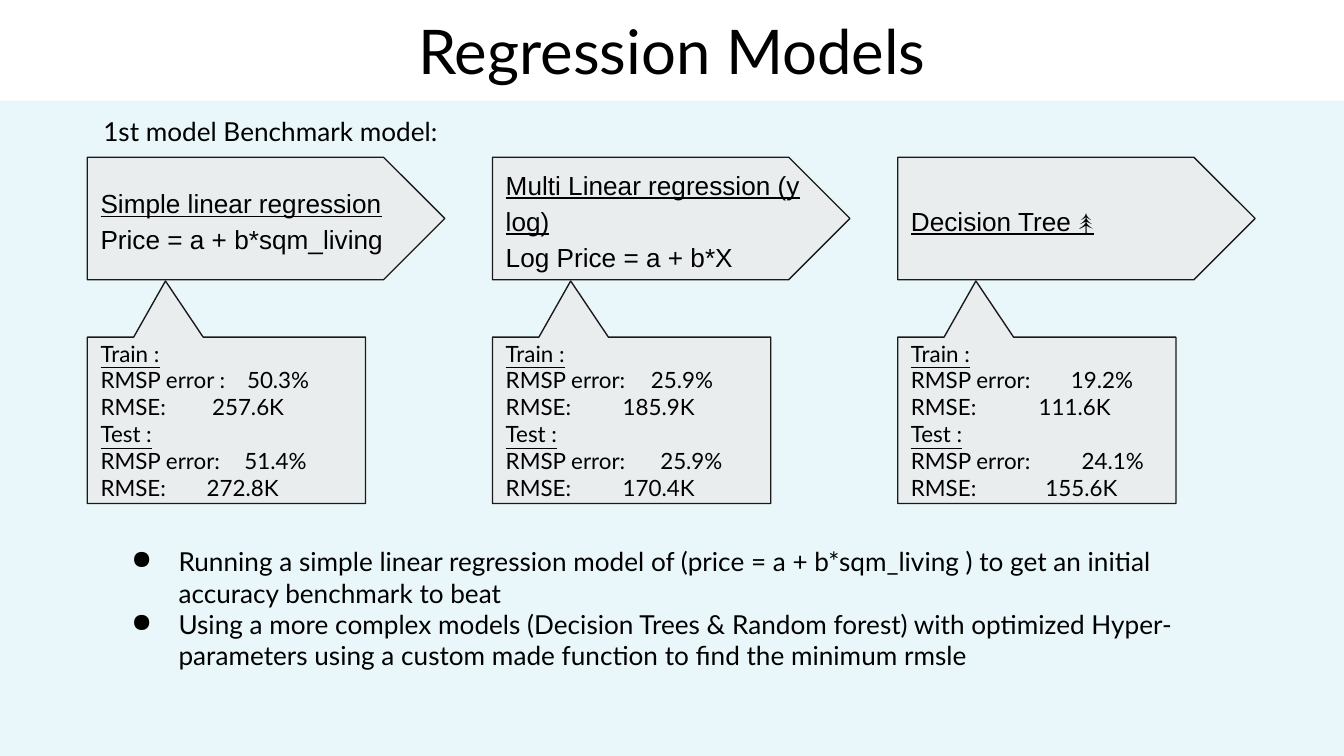
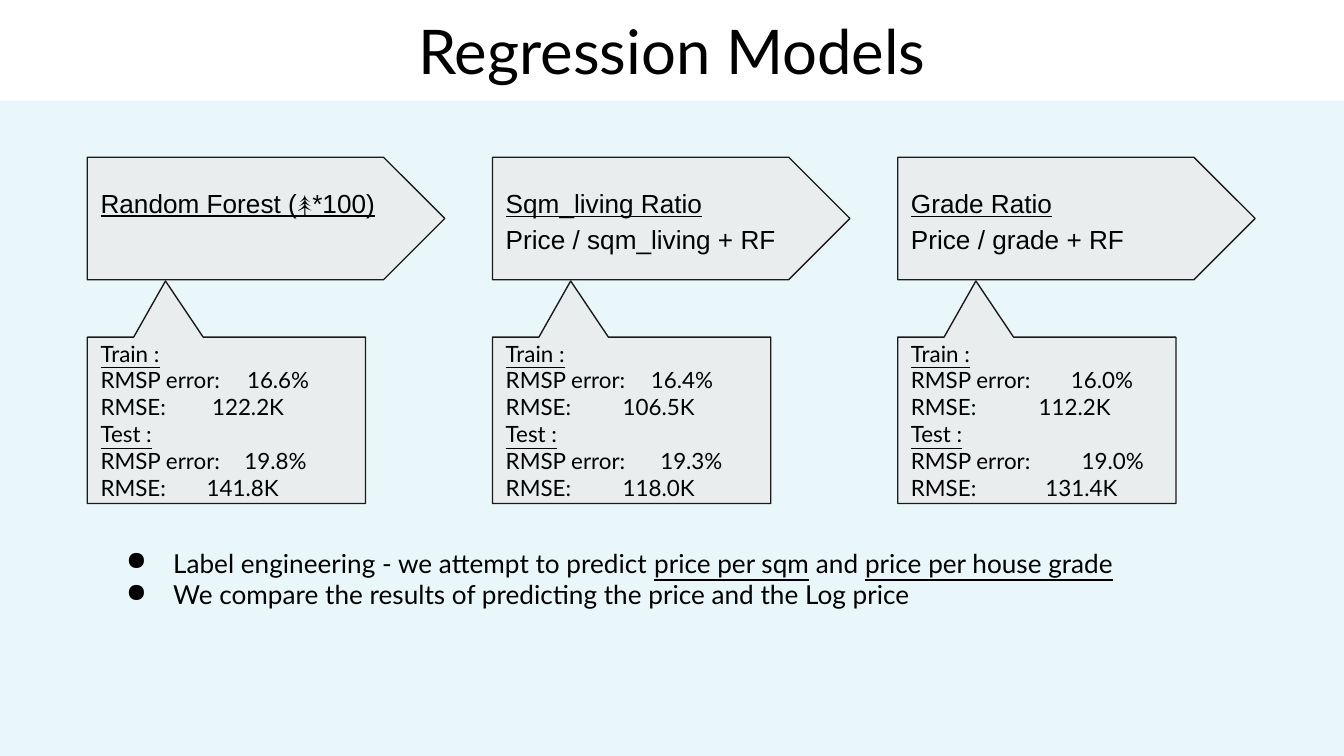
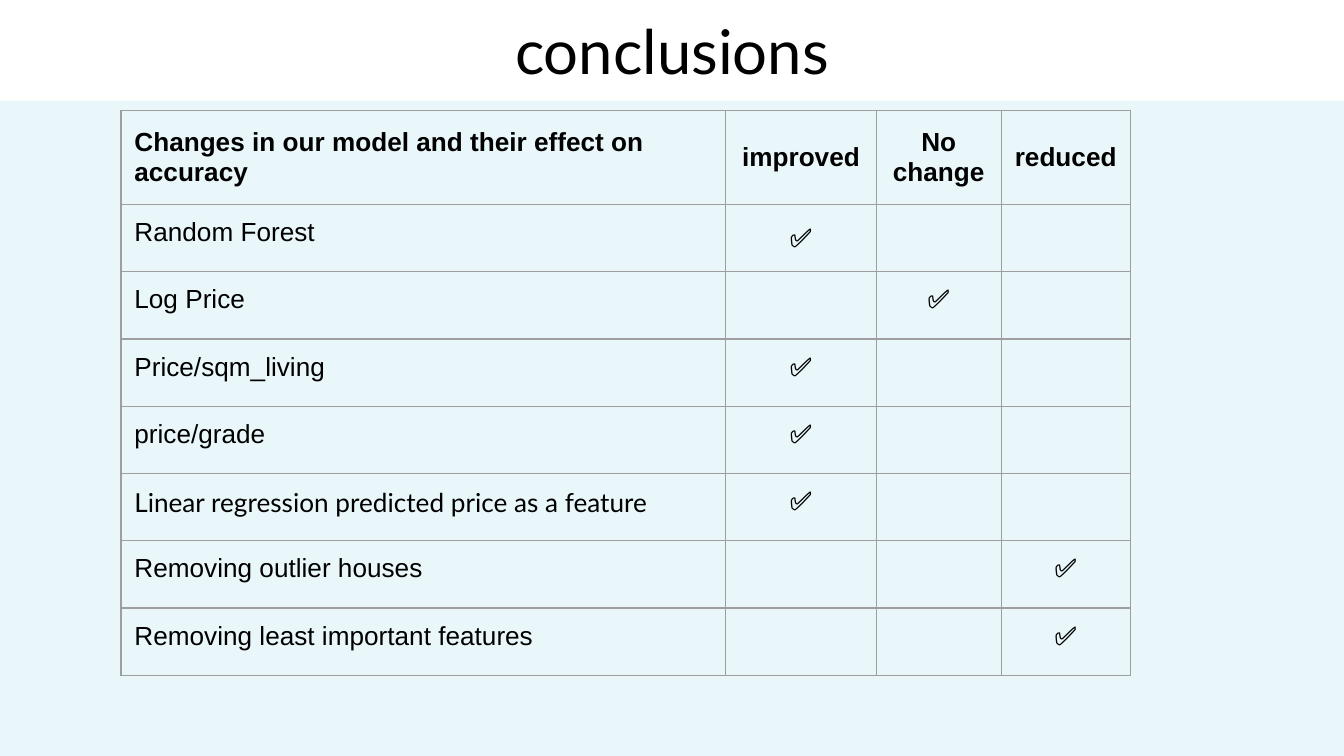
import dataclasses
import typing

import lxml.etree
import pptx
import pptx.dml.color
import pptx.enum.shapes
import pptx.enum.text
import pptx.oxml.ns
import pptx.util

SHAPE = pptx.enum.shapes.MSO_SHAPE
ALIGN = pptx.enum.text.PP_ALIGN
ANCHOR = pptx.enum.text.MSO_ANCHOR
GROW = pptx.enum.text.MSO_AUTO_SIZE.SHAPE_TO_FIT_TEXT

WIDTH, HEIGHT = pptx.util.Inches(10), pptx.util.Inches(5.625)
INK, WHITE, PANEL, OUTLINE, GRID = "000000", "FFFFFF", "E9EDEE", "1A1A1A", "9E9E9E"
BACKDROP, BACKDROP_ALPHA = "9BDFEB", 22
INSET = 0.1
FIRST_LEFT, STEP = 6.5, 30.15
TITLE = {"name": "Lato", "size": 33}
BODY = {"name": "Lato", "size": 14}
HEADING = {"name": "Arial", "size": 14}
SCORE = {"name": "Lato", "size": 12}
# Tab stops in inches for each column of cards: two training rows, two test rows
SCORE_TABS = (
    (1.09, 0.83, 1.07, 0.79),
    (1.08, 0.87, 1.15, 0.87),
    (1.19, 0.95, 1.27, 1.0),
)


class Box(typing.NamedTuple):
    """A place in percent of the slide's width and height."""
    left: float
    top: float
    width: float
    height: float


class Span(typing.NamedTuple):
    text: str
    underline: bool = False


@dataclasses.dataclass
class Model:
    name: str
    formula: str
    scores: tuple[str, str, str, str]
    bottom_inset: float = INSET
    train_label: str = "RMSP error:"


BENCHMARKS = (
    Model("Simple linear regression", "Price = a + b*sqm_living",
          ("50.3%", "257.6K", "51.4%", "272.8K"), train_label="RMSP error :"),
    Model("Multi Linear regression (y log)", "Log Price = a + b*X",
          ("25.9%", "185.9K", "25.9%", "170.4K")),
    Model("Decision Tree 🌲", "", ("19.2%", "111.6K", "24.1%", "155.6K")),
)
REFINED = (
    Model("Random Forest (🌲*100)", "",
          ("16.6%", "122.2K", "19.8%", "141.8K"), bottom_inset=0.37),
    Model("Sqm_living Ratio", "Price / sqm_living + RF",
          ("16.4%", "106.5K", "19.3%", "118.0K")),
    Model("Grade Ratio", "Price / grade + RF",
          ("16.0%", "112.2K", "19.0%", "131.4K")),
)
BENCHMARK_NOTES = (
    (Span("Running a simple linear regression model of (price = a + b*sqm_living ) "
          "to get an initial accuracy benchmark to beat"),),
    (Span("Using a more complex models (Decision Trees & Random forest) with optimized "
          "Hyper-parameters using a custom made function to find the minimum rmsle"),),
)
REFINED_NOTES = (
    (Span("Label engineering - we attempt to predict "), Span("price per sqm", True),
     Span(" and "), Span("price per house grade", True)),
    (Span("We compare the results of predicting the price and the Log price"),),
)
HEADERS = ("Changes in our model and their effect on accuracy",
           "improved", "No change", "reduced")
EFFECTS = (
    ("Random Forest", "improved"),
    ("Log Price", "No change"),
    ("Price/sqm_living", "improved"),
    ("price/grade", "improved"),
    ("Linear regression predicted price as a feature", "improved"),
    ("Removing outlier houses", "reduced"),
    ("Removing least important features", "reduced"),
)
COLUMN_SHARES = (45, 11.2, 9.3, 9.6)
HEADER_SHARE, ROW_SHARE = 12.44, 7.47


def rgb(value: str):
    return pptx.dml.color.RGBColor.from_string(value)


def across(share: float) -> int:
    return round(WIDTH * share / 100)


def down(share: float) -> int:
    return round(HEIGHT * share / 100)


def place(box: Box) -> tuple[int, int, int, int]:
    return across(box.left), down(box.top), across(box.width), down(box.height)


def add_node(parent, tag: str, **attributes):
    node = lxml.etree.SubElement(parent, pptx.oxml.ns.qn(tag))
    for name, value in attributes.items():
        node.set(name, str(value))
    return node


def set_frame(tf, bottom: float = INSET, **settings) -> None:
    sides = dict.fromkeys(("margin_left", "margin_top", "margin_right"), INSET)
    for name, inches in {**sides, "margin_bottom": bottom}.items():
        setattr(tf, name, pptx.util.Inches(inches))
    for name, value in {"word_wrap": True, **settings}.items():
        setattr(tf, name, value)


def write(p, spans: typing.Iterable[Span], style: dict, **settings) -> None:
    for name, value in {"alignment": ALIGN.LEFT, **settings}.items():
        setattr(p, name, value)
    for span in spans:
        r = p.add_run()
        r.text = span.text
        for name, value in {**style, "underline": span.underline}.items():
            setattr(r.font, name, pptx.util.Pt(value) if name == "size" else value)
        r.font.color.rgb = rgb(INK)


def paragraphs(tf, count: int):
    yield tf.paragraphs[0]
    for _ in range(count - 1):
        yield tf.add_paragraph()


def add_panel(slide, kind, box: Box, fill: str, line: str = "", adjust=()):
    sp = slide.shapes.add_shape(kind, *place(box))
    sp.shadow.inherit = False
    sp.fill.solid()
    sp.fill.fore_color.rgb = rgb(fill)
    if line:
        sp.line.color.rgb = rgb(line)
        sp.line.width = pptx.util.Pt(0.75)
    else:
        sp.line.fill.background()
    for i, value in enumerate(adjust):
        sp.adjustments[i] = value
    return sp


def add_titled_slide(prs, title: str):
    slide = prs.slides.add_slide(prs.slide_layouts[6])
    fill = slide.background.fill
    fill.solid()
    fill.fore_color.rgb = rgb(BACKDROP)
    colour = slide.element.find(".//" + pptx.oxml.ns.qn("a:srgbClr"))
    add_node(colour, "a:alpha", val=BACKDROP_ALPHA * 1000)
    tf = add_panel(slide, SHAPE.RECTANGLE, Box(0, -0.18, 100, 13.5), WHITE).text_frame
    set_frame(tf, vertical_anchor=ANCHOR.MIDDLE, auto_size=GROW)
    write(tf.paragraphs[0], [Span(title)], TITLE, alignment=ALIGN.CENTER)
    return slide


def add_text_box(slide, box: Box):
    tf = slide.shapes.add_textbox(*place(box)).text_frame
    set_frame(tf, auto_size=GROW)
    return tf


def add_model(slide, column: int, model: Model) -> None:
    """Draw a pentagon naming the model and, below it, a callout with its scores."""
    left = FIRST_LEFT + column * STEP
    tf = add_panel(slide, SHAPE.PENTAGON, Box(left, 20.8, 26.6, 16.2),
                   PANEL, OUTLINE, (0.5,)).text_frame
    set_frame(tf, model.bottom_inset, vertical_anchor=ANCHOR.MIDDLE)
    lines = [Span(model.name, True)]
    if model.formula:
        lines.append(Span(model.formula))
    for p, span in zip(paragraphs(tf, len(lines)), lines):
        write(p, [span], HEADING, line_spacing=1.15)

    tf = add_panel(slide, SHAPE.RECTANGULAR_CALLOUT, Box(left, 44.6, 20.7, 22),
                   PANEL, OUTLINE, (-0.219, -0.838)).text_frame
    set_frame(tf, vertical_anchor=ANCHOR.MIDDLE)
    labels = (model.train_label, "RMSE:", "RMSP error:", "RMSE:")
    rows = [(Span(f"{label}\t{score}"), tab) for label, score, tab
            in zip(labels, model.scores, SCORE_TABS[column])]
    rows = [(Span("Train :", True), 0), *rows[:2], (Span("Test :", True), 0), *rows[2:]]
    for p, (span, tab) in zip(paragraphs(tf, len(rows)), rows):
        if tab:
            stops = add_node(p._p.get_or_add_pPr(), "a:tabLst")
            add_node(stops, "a:tab", pos=pptx.util.Inches(tab), algn="l")
        write(p, [span], SCORE)


def add_bullets(slide, box: Box, notes) -> None:
    tf = add_text_box(slide, box)
    for p, spans in zip(paragraphs(tf, len(notes)), notes):
        pPr = p._p.get_or_add_pPr()
        pPr.set("marL", str(pptx.util.Inches(0.5)))
        pPr.set("indent", str(pptx.util.Inches(-0.35)))
        add_node(add_node(pPr, "a:buClr"), "a:srgbClr", val=INK)
        add_node(pPr, "a:buChar", char="●")
        write(p, spans, BODY)


def add_models_slide(prs, models, notes, notes_box: Box):
    slide = add_titled_slide(prs, "Regression Models")
    for column, model in enumerate(models):
        add_model(slide, column, model)
    add_bullets(slide, notes_box, notes)
    return slide


def set_borders(cell) -> None:
    tcPr = cell._tc.get_or_add_tcPr()
    for side in ("a:lnL", "a:lnR", "a:lnT", "a:lnB"):
        ln = add_node(tcPr, side, w=pptx.util.Pt(0.75))
        add_node(add_node(ln, "a:solidFill"), "a:srgbClr", val=GRID)


def add_effects_table(slide) -> None:
    heights = [HEADER_SHARE] + [ROW_SHARE] * len(EFFECTS)
    box = Box(9, 14.6, sum(COLUMN_SHARES), sum(heights))
    table = slide.shapes.add_table(len(heights), len(HEADERS), *place(box)).table
    table.first_row = table.horz_banding = False
    for column, share in zip(table.columns, COLUMN_SHARES):
        column.width = across(share)
    for row, share in zip(table.rows, heights):
        row.height = down(share)

    marks = [[change] + ["✅" if effect == header else "" for header in HEADERS[1:]]
             for change, effect in EFFECTS]
    for i, texts in enumerate([HEADERS, *marks]):
        for j, text in enumerate(texts):
            cell = table.cell(i, j)
            set_borders(cell)
            cell.fill.background()
            middle = i == 0 or (i == 1 and j > 0)
            set_frame(cell, vertical_anchor=ANCHOR.MIDDLE if middle else ANCHOR.TOP)
            if text:
                style = BODY if text.startswith("Linear") else HEADING
                write(cell.text_frame.paragraphs[0], [Span(text)],
                      {**style, "bold": i == 0},
                      alignment=ALIGN.CENTER if j else ALIGN.LEFT)


def main() -> None:
    prs = pptx.Presentation()
    prs.slide_width, prs.slide_height = WIDTH, HEIGHT

    slide = add_models_slide(prs, BENCHMARKS, BENCHMARK_NOTES, Box(7.3, 70.4, 81.2, 20.3))
    label = add_text_box(slide, Box(6.7, 13.5, 28.2, 7.8))
    write(label.paragraphs[0], [Span("1st model Benchmark model:")], BODY)

    add_models_slide(prs, REFINED, REFINED_NOTES, Box(6.9, 70.6, 77.5, 11.9))
    add_effects_table(add_titled_slide(prs, "conclusions"))
    prs.save("out.pptx")


if __name__ == "__main__":
    main()
